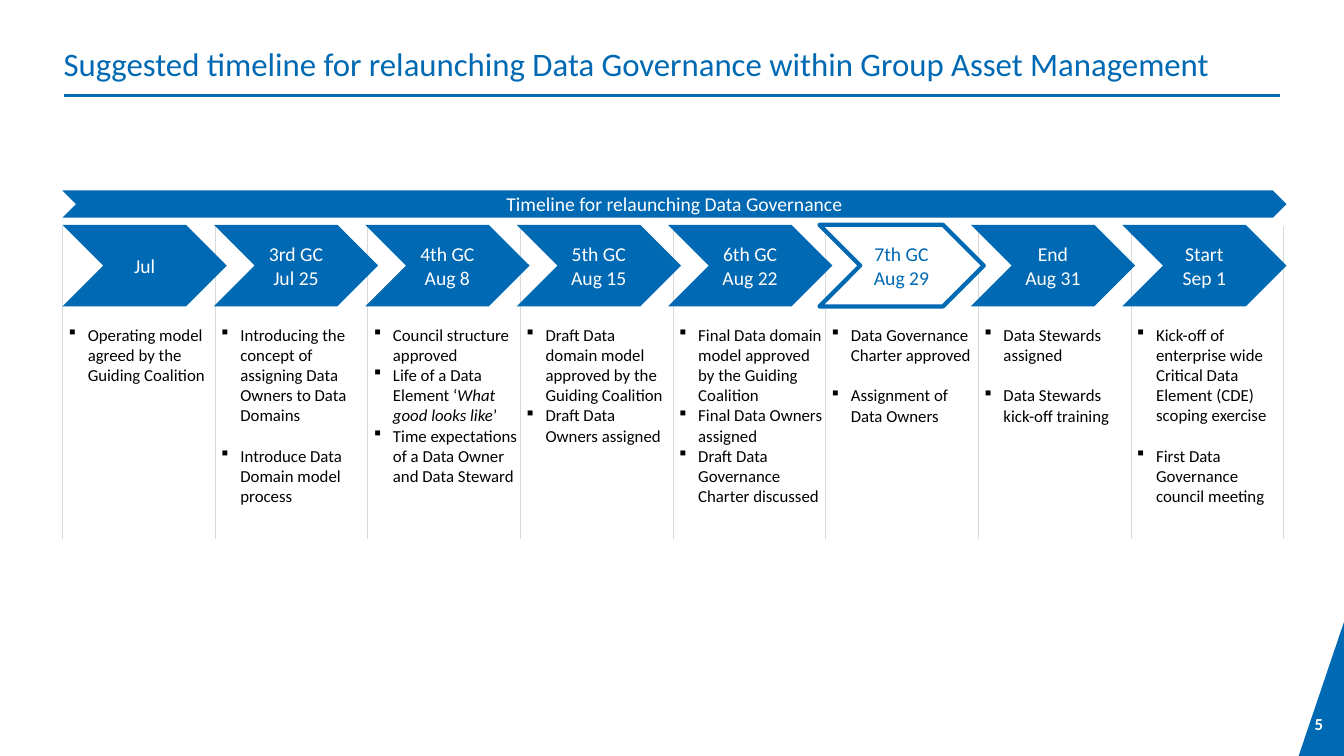
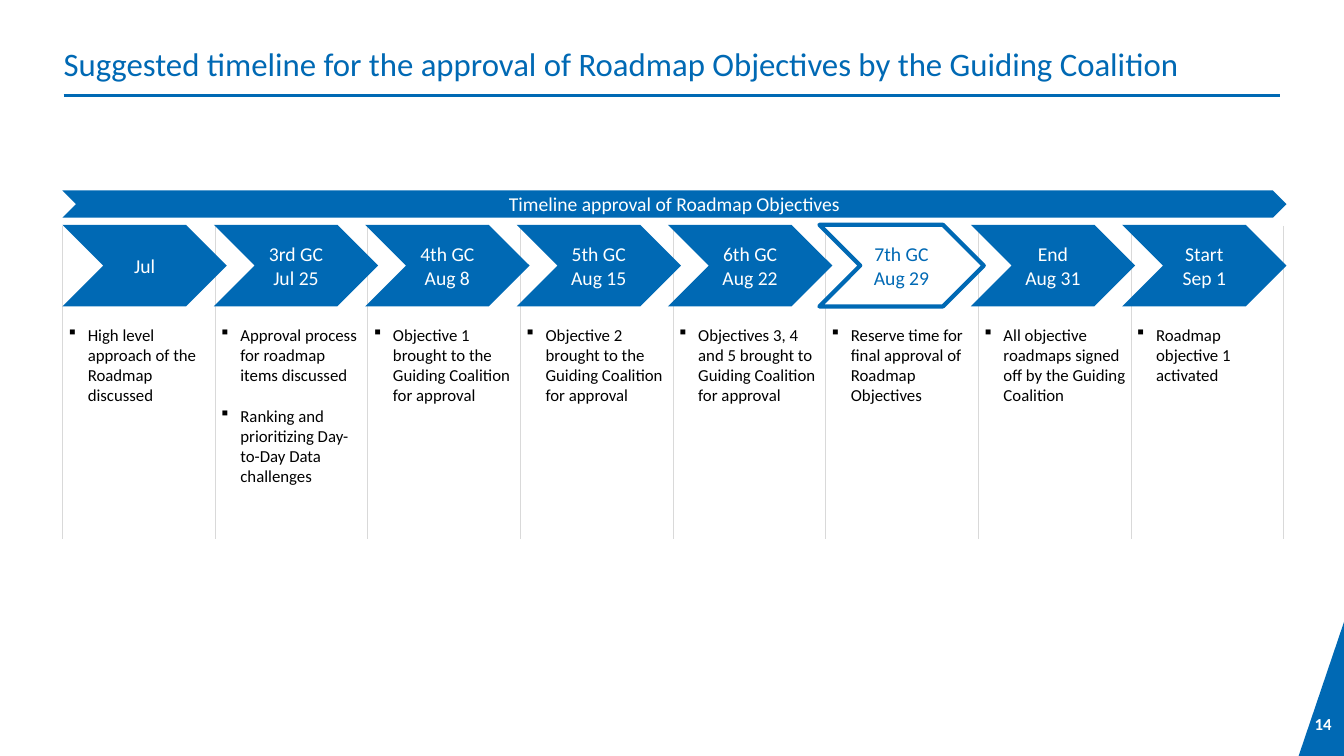
from lxml.etree import SubElement
from pptx import Presentation
from pptx.dml.color import RGBColor
from pptx.enum.shapes import MSO_CONNECTOR, MSO_SHAPE
from pptx.enum.text import MSO_ANCHOR, MSO_AUTO_SIZE, PP_ALIGN
from pptx.oxml.ns import qn
from pptx.util import Inches, Pt

COLORS = {name: RGBColor.from_string(value) for name, value in {
    "blue": "0069B4", "white": "FFFFFF", "grey": "D9D9D9", "black": "000000"}.items()}
FONT = "Calibri"

LEFT, BANNER_WIDTH = 0.62, 12.14
STEP_WIDTH, STEP_HEIGHT = 1.63, 0.81
COLUMNS_WIDTH = 12.11
BLANK_LINE = Pt(14.5)

STEPS = [["Jul"], ["3rd GC", "Jul 25"], ["4th GC", "Aug 8"], ["5th GC", "Aug 15"],
         ["6th GC", "Aug 22"], ["7th GC", "Aug 29"], ["End", "Aug 31"], ["Start", "Sep 1"]]
HIGHLIGHTED_STEP = ["7th GC", "Aug 29"]
STEP_PITCH = (BANNER_WIDTH - STEP_WIDTH) / (len(STEPS) - 1)
COLUMN_PITCH = COLUMNS_WIDTH / len(STEPS)

# Each column: space between its bullets, then the bullets; *asterisks* mark italics.
TIMELINES = [
    {
        "page": "5",
        "title": "Suggested timeline for relaunching Data Governance within Group Asset Management",
        "banner": "Timeline for relaunching Data Governance",
        "columns": [
            (0, ["Operating model agreed by the Guiding Coalition"]),
            (BLANK_LINE, ["Introducing the concept of assigning Data Owners to Data Domains",
                          "Introduce Data Domain model process"]),
            (0, ["Council structure approved",
                 "Life of a Data Element ‘*What good looks like*’",
                 "Time expectations of a Data Owner and Data Steward"]),
            (0, ["Draft Data domain model approved by the Guiding Coalition",
                 "Draft Data Owners assigned"]),
            (0, ["Final Data domain model approved by the Guiding Coalition",
                 "Final Data Owners assigned",
                 "Draft Data Governance Charter discussed"]),
            (BLANK_LINE, ["Data Governance Charter approved", "Assignment of Data Owners"]),
            (BLANK_LINE, ["Data Stewards assigned", "Data Stewards kick-off training"]),
            (BLANK_LINE, ["Kick-off of enterprise wide Critical Data Element (CDE) scoping exercise",
                          "First Data Governance council meeting"]),
        ],
    },
    {
        "page": "14",
        "title": "Suggested timeline for the approval of Roadmap Objectives by the Guiding Coalition",
        "banner": "Timeline approval of Roadmap Objectives",
        "columns": [
            (0, ["High level approach of the Roadmap discussed"]),
            (BLANK_LINE, ["Approval process for roadmap items discussed",
                          "Ranking and prioritizing Day-to-Day Data challenges"]),
            (0, ["Objective 1 brought to the Guiding Coalition for approval"]),
            (0, ["Objective 2 brought to the Guiding Coalition for approval"]),
            (0, ["Objectives 3, 4 and 5 brought to Guiding Coalition for approval"]),
            (0, ["Reserve time for final approval of Roadmap Objectives"]),
            (0, ["All objective roadmaps signed off by the Guiding Coalition"]),
            (0, ["Roadmap objective 1 activated"]),
        ],
    },
]


def add_line(slide, start, end, color, width):
    line = slide.shapes.add_connector(MSO_CONNECTOR.STRAIGHT, *map(Inches, start + end))
    line.line.color.rgb = COLORS[color]
    line.line.width = Pt(width)
    SubElement(line._element.spPr, qn("a:effectLst"))


def add_run(paragraph, text, size, color, bold=None, italic=None):
    run = paragraph.add_run()
    run.text = text
    font = run.font
    font.name, font.size, font.color.rgb = FONT, Pt(size), COLORS[color]
    font.bold, font.italic = bold, italic


prs = Presentation()
prs.slide_width, prs.slide_height = Inches(13.33), Inches(7.5)

for timeline in TIMELINES:
    slide = prs.slides.add_slide(prs.slide_layouts[5])

    # Title, rule, corner and page number
    title = slide.shapes.title
    title.left, title.top, title.width, title.height = map(Inches, (0.63, 0.4, 12.07, 0.39))
    frame = title.text_frame
    frame.margin_left = frame.margin_right = frame.margin_top = frame.margin_bottom = 0
    frame.vertical_anchor = MSO_ANCHOR.TOP
    frame.auto_size = MSO_AUTO_SIZE.NONE
    frame.word_wrap = True
    heading = frame.paragraphs[0]
    heading.alignment = PP_ALIGN.LEFT
    heading.line_spacing = 1.08
    add_run(heading, timeline["title"], 23.4, "blue")
    add_line(slide, (0.63, 0.95), (12.7, 0.95), "blue", 2)

    outline = slide.shapes.build_freeform(Inches(12.88), Inches(7.5))
    outline.add_line_segments([(Inches(13.33), Inches(6.17)), (Inches(13.33), Inches(7.5))])
    corner = outline.convert_to_shape()
    corner.shadow.inherit = False
    corner.fill.solid()
    corner.fill.fore_color.rgb = COLORS["blue"]
    corner.line.fill.background()

    page_number = slide.shapes.add_textbox(*map(Inches, (12.94, 7.03, 0.4, 0.3)))
    page_number.text_frame.word_wrap = False
    add_run(page_number.text_frame.paragraphs[0], timeline["page"], 12, "white", bold=True)

    # Column dividers
    for i in range(len(STEPS) + 1):
        x = LEFT + i * COLUMN_PITCH
        add_line(slide, (x, 2.24), (x, 5.35), "grey", 0.5)

    # Bullets under each step
    for i, (gap, bullets) in enumerate(timeline["columns"]):
        column = slide.shapes.add_textbox(
            *map(Inches, (LEFT + 0.02 + i * COLUMN_PITCH, 3.17, 1.51, 1.12)))
        frame = column.text_frame
        frame.word_wrap = True
        frame.margin_left = frame.margin_right = Inches(0.04)
        for j, bullet in enumerate(bullets):
            paragraph = frame.paragraphs[0] if j == 0 else frame.add_paragraph()
            properties = paragraph._p.get_or_add_pPr()
            properties.set("marL", str(Inches(0.19)))
            properties.set("indent", str(-Inches(0.19)))
            SubElement(properties, qn("a:buFont"), typeface="Wingdings")
            SubElement(properties, qn("a:buChar"), char="§")
            if j and gap:
                paragraph.space_before = gap
            for k, part in enumerate(bullet.split("*")):
                add_run(paragraph, part, 12, "black", italic=True if k % 2 else None)

    # Steps and the banner above them
    chevrons = [(LEFT + i * STEP_PITCH, 2.23, STEP_WIDTH, STEP_HEIGHT, step)
                for i, step in enumerate(STEPS)]
    chevrons.append((LEFT, 1.89, BANNER_WIDTH, 0.27, [timeline["banner"]]))
    for *box, label in chevrons:
        highlighted = label == HIGHLIGHTED_STEP
        chevron = slide.shapes.add_shape(MSO_SHAPE.CHEVRON, *map(Inches, box))
        chevron.shadow.inherit = False
        chevron.fill.solid()
        chevron.fill.fore_color.rgb = COLORS["white" if highlighted else "blue"]
        if highlighted:
            chevron.line.color.rgb = COLORS["blue"]
            chevron.line.width = Pt(3)
        else:
            chevron.line.fill.background()
        frame = chevron.text_frame
        frame.vertical_anchor = MSO_ANCHOR.MIDDLE
        for j, text in enumerate(label):
            paragraph = frame.paragraphs[0] if j == 0 else frame.add_paragraph()
            paragraph.alignment = PP_ALIGN.CENTER
            add_run(paragraph, text, 14, "blue" if highlighted else "white")

prs.save("out.pptx")
